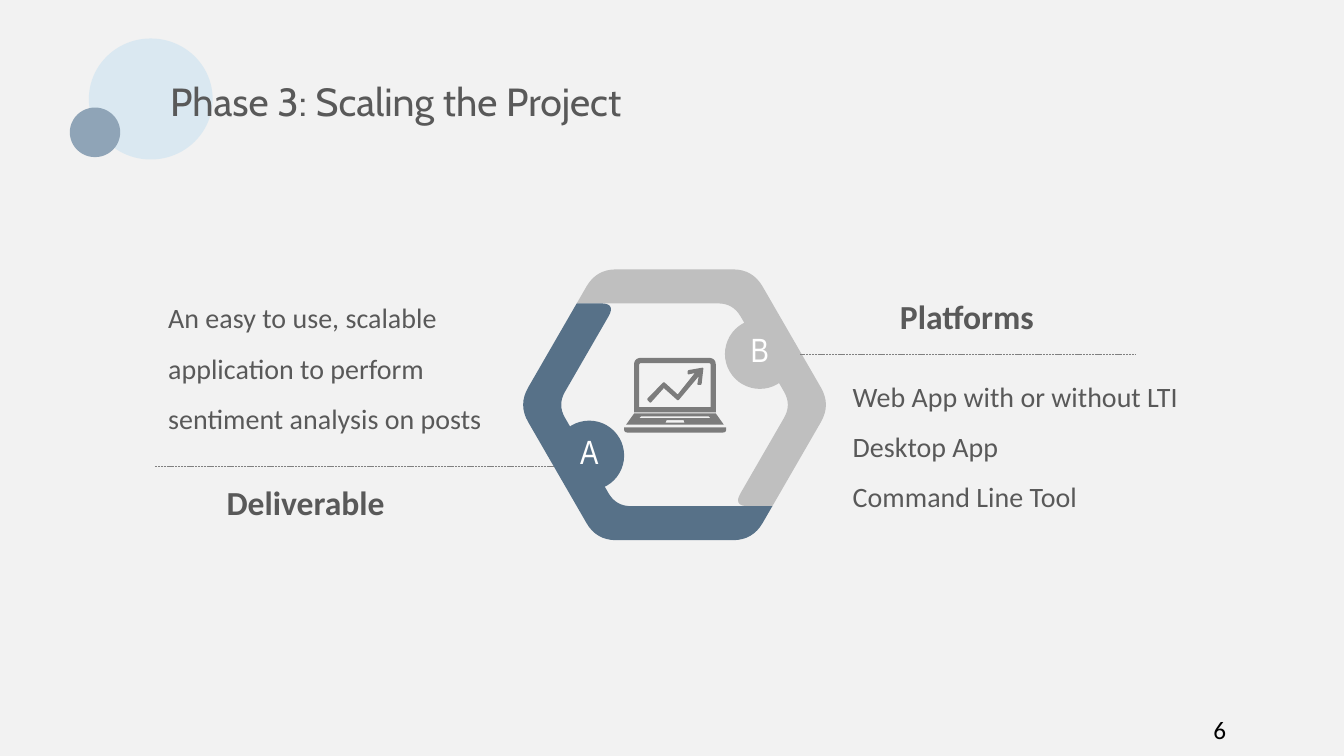
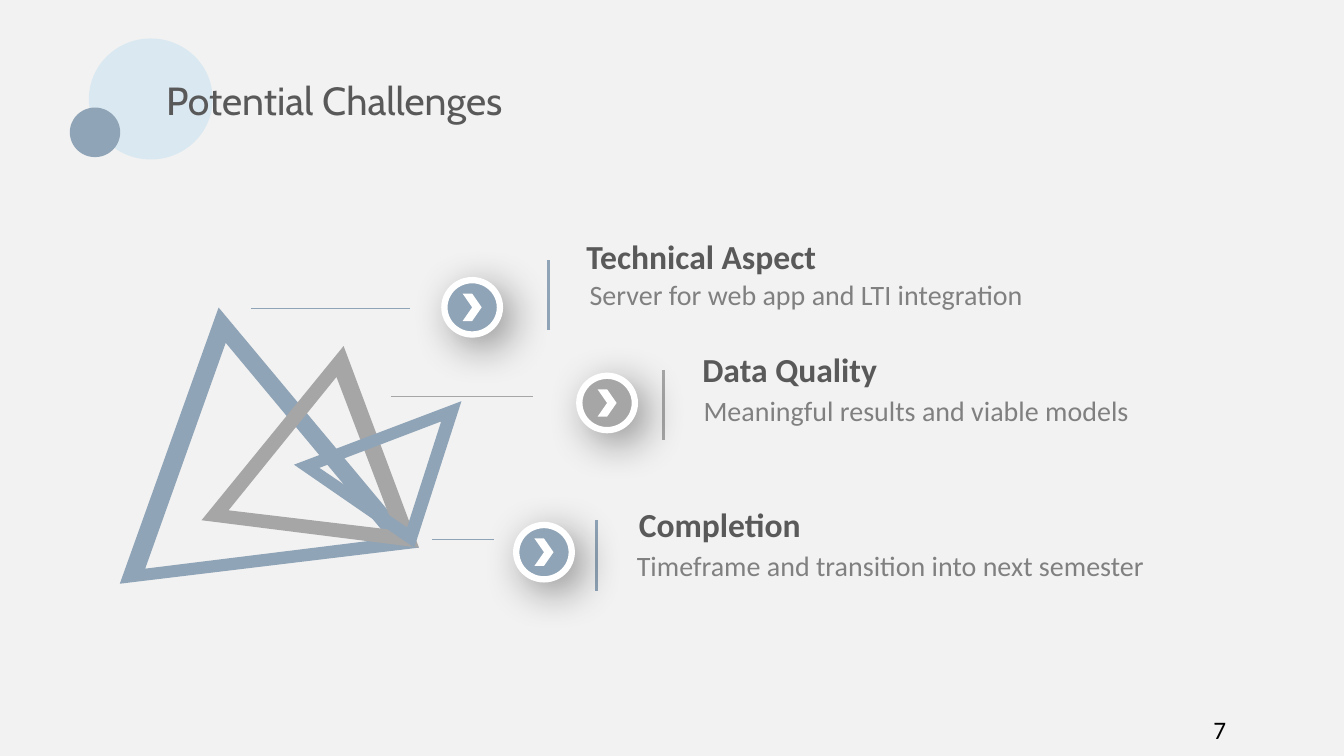
from dataclasses import dataclass
from math import cos, radians, sin, sqrt

from lxml.etree import SubElement
from pptx import Presentation
from pptx.dml.color import RGBColor
from pptx.enum.dml import MSO_LINE
from pptx.enum.shapes import MSO_CONNECTOR, MSO_SHAPE
from pptx.enum.text import MSO_ANCHOR, MSO_AUTO_SIZE, PP_ALIGN
from pptx.oxml.ns import qn
from pptx.util import Cm, Pt


@dataclass(frozen=True)
class Theme:
    """Colours and type styles of the deck."""
    paper: str = "F2F2F2"
    pale: str = "D4E6F1"
    steel: str = "8FA4B7"
    navy: str = "577188"
    silver: str = "BFBFBF"
    grey: str = "A6A6A6"
    icon: str = "7C7C7C"
    rule: str = "808080"
    ink: str = "595959"
    white: str = "FFFFFF"
    black: str = "000000"

    def style(self, role):
        """Return the colour and font values of a text role."""
        colour, name, size, bold = {
            "title": (self.ink, "Cabin", 28, False),
            "heading": (self.ink, "Calibri", 24, True),
            "body": (self.ink, "Calibri", 20, False),
            "detail": (self.rule, "Calibri", 20, False),
            "letter": (self.white, "Arial Narrow", 24, False),
            "number": (self.black, "Calibri", 18, False),
        }[role]
        return colour, {"name": name, "size": Pt(size), "bold": bold}


THEME = Theme()
WIDE_INSETS = {"margin_left": Cm(0.33), "margin_right": Cm(0.33),
               "margin_top": Cm(0.18), "margin_bottom": Cm(0.18)}


def apply(target, values):
    """Set each attribute of the target from a dict."""
    for name, value in values.items():
        setattr(target, name, value)


def rgb(colour):
    """Turn a hex string into a colour."""
    return RGBColor.from_string(colour)


def write(frame, lines, role, frame_format=None, paragraph_format=None):
    """Fill a text frame with one paragraph per line."""
    apply(frame, {"auto_size": MSO_AUTO_SIZE.NONE, "word_wrap": True, **(frame_format or {})})
    colour, font_format = THEME.style(role)
    for index, line in enumerate(lines):
        paragraph = frame.add_paragraph() if index else frame.paragraphs[0]
        apply(paragraph, paragraph_format or {})
        run = paragraph.add_run()
        run.text = line
        apply(run.font, font_format)
        run.font.color.rgb = rgb(colour)


def add_text(slide, box, lines, role, frame_format=None, paragraph_format=None):
    """Add a text box at left, top, width and height in centimetres."""
    frame = slide.shapes.add_textbox(*map(Cm, box)).text_frame
    write(frame, lines, role, frame_format, paragraph_format)


def paint(shape, colour):
    """Give a shape a plain fill without line or shadow."""
    shape.shadow.inherit = False
    shape.fill.solid()
    shape.fill.fore_color.rgb = rgb(colour)
    shape.line.fill.background()
    return shape


def add_preset(slide, kind, box, colour):
    """Add a plain preset shape in a box in centimetres."""
    return paint(slide.shapes.add_shape(kind, *map(Cm, box)), colour)


def add_rule(slide, start, end, colour, weight, dash=None):
    """Add a straight line between two points in centimetres."""
    rule = slide.shapes.add_connector(MSO_CONNECTOR.STRAIGHT, *map(Cm, start + end))
    rule.line.color.rgb = rgb(colour)
    apply(rule.line, {"width": Pt(weight), "dash_style": dash})
    SubElement(rule._element.spPr, qn("a:effectLst"))


def toward(start, end, distance):
    """Return the point at a distance from start on the way to end."""
    dx, dy = end[0] - start[0], end[1] - start[1]
    share = distance / sqrt(dx * dx + dy * dy)
    return start[0] + dx * share, start[1] + dy * share


def rounded(corners, steps=8):
    """Expand corners (x, y, optional cut) into points with curved corners."""
    points = []
    for index, corner in enumerate(corners):
        if len(corner) == 2:
            points.append(corner)
            continue
        vertex, cut = corner[:2], corner[2]
        entry = toward(vertex, corners[index - 1], cut)
        leave = toward(vertex, corners[(index + 1) % len(corners)], cut)
        for step in range(steps + 1):
            t = step / steps
            points.append(tuple((1 - t) ** 2 * a + 2 * t * (1 - t) * b + t * t * c
                                for a, b, c in zip(entry, vertex, leave)))
    return points


def add_outline(slide, origin, contours, colour):
    """Add a filled outline, later contours being holes, relative to an origin."""
    builder = None
    for contour in contours:
        points = [(Cm(origin[0] + x), Cm(origin[1] + y)) for x, y in rounded(contour)]
        if builder is None:
            builder = slide.shapes.build_freeform(*points[0], scale=1.0)
        else:
            builder.move_to(*points[0])
        builder.add_line_segments(points[1:], close=True)
    return paint(builder.convert_to_shape(), colour)


def add_header(slide, title_box, title):
    """Place the two circles and the title over them."""
    halo = add_preset(slide, MSO_SHAPE.OVAL, (2.24, 0.97, 3.12, 3.05), THEME.pale)
    tint = halo._element.spPr.find(qn("a:solidFill"))[0]
    SubElement(tint, qn("a:alpha"), val="80000")
    add_preset(slide, MSO_SHAPE.OVAL, (1.76, 2.71, 1.27, 1.25), THEME.steel)
    heading = slide.shapes.title
    apply(heading, dict(zip(("left", "top", "width", "height"), map(Cm, title_box))))
    write(heading.text_frame, [title], "title",
          {**WIDE_INSETS, "vertical_anchor": MSO_ANCHOR.TOP}, {"alignment": PP_ALIGN.CENTER})
    slide.shapes._spTree.append(heading._element)


def add_slide(deck, title_box, title, number):
    """Add a slide with the shared header and page number."""
    slide = deck.slides.add_slide(deck.slide_layouts[5])
    add_header(slide, title_box, title)
    add_text(slide, (30.33, 17.88, 2, 1.02), [number], "number")
    return slide


def add_ring_half(slide, centre, sign, colour, letter):
    """Draw half of the hexagon ring with its letter; sign -1 turns it half round."""
    outer, inner = 3.94, 2.95

    def vertex(radius, angle, cut):
        """Return a rounded hexagon vertex."""
        return (sign * radius * cos(radians(angle)), sign * radius * sin(radians(angle)), cut)

    inner_height = inner * sin(radians(60))
    end_x = outer - inner_height / sqrt(3)
    band = [(-sign * end_x, -sign * inner_height)]
    band += [vertex(outer, angle, 0.5) for angle in (-120, -60, 0)]
    band += [(sign * end_x, sign * inner_height)]
    band += [vertex(inner, angle, 0.38) for angle in (60, 0, -60)]
    band += [(-sign * 1.1, -sign * inner_height)]
    add_outline(slide, centre, [band], colour)
    radius = 0.88
    left = centre[0] + sign * 2.15 - radius
    top = centre[1] - sign * 1.28 - radius
    knob = add_preset(slide, MSO_SHAPE.OVAL, (left, top, 2 * radius, 2 * radius), colour)
    write(knob.text_frame, [letter], "letter",
          {"margin_left": 0, "margin_right": 0, "margin_top": 0, "margin_bottom": Cm(0.25),
           "vertical_anchor": MSO_ANCHOR.MIDDLE}, {"alignment": PP_ALIGN.CENTER})


def add_laptop(slide, origin):
    """Draw the laptop with a rising arrow on its screen."""
    base = [(0, 1.75), (2.57, 1.75), (2.57, 1.88, 0.08), (0, 1.88, 0.08)]
    lid = [(0.25, 1.37), (0.25, 0, 0.18), (2.31, 0, 0.18), (2.31, 1.37)]
    screen = [(0.38, 1.24), (0.38, 0.13, 0.05), (2.18, 0.13, 0.05), (2.18, 1.24)]
    deck = [(0.25, 1.4), (2.31, 1.4), (2.51, 1.68), (0.05, 1.68)]
    keys = [(0.38, 1.52), (0.43, 1.47), (2.13, 1.47), (2.18, 1.52)]
    trackpad = [(1.04, 1.63), (1.07, 1.57), (1.5, 1.57), (1.52, 1.63)]
    arrow = [(2, 0.24, 0.04), (1.6, 0.31, 0.04), (1.6, 0.42, 0.04), (1.78, 0.38),
             (1.35, 0.92), (1, 0.6, 0.04), (0.57, 1.04, 0.04), (0.66, 1.14, 0.04),
             (1, 0.76), (1.36, 1.08, 0.04), (1.88, 0.46), (1.84, 0.68, 0.04),
             (1.95, 0.68, 0.04)]
    for contours in ([base], [lid, screen], [arrow], [deck, keys, trackpad]):
        add_outline(slide, origin, contours, THEME.icon)


def add_deliverable(slide, left, top):
    """Place the text, rule and heading left of the ring."""
    add_text(slide, (left, top, 9.42, 4.06),
             ["An easy to use, scalable application to perform sentiment analysis on posts"],
             "body", WIDE_INSETS, {"line_spacing": 1.5})
    add_rule(slide, (left, top + 4.78), (left + 10.08, top + 4.78), THEME.rule, 0.5,
             MSO_LINE.SQUARE_DOT)
    add_text(slide, (left + 1.55, top + 5.05, 4.55, 1.27), ["Deliverable"], "heading",
             {"word_wrap": False})


def add_platforms(slide, left, top):
    """Place the heading, rule and list right of the ring."""
    add_text(slide, (left + 2.26, top, 3.94, 1.27), ["Platforms"], "heading",
             {"word_wrap": False})
    add_rule(slide, (left, top + 1.6), (left + 8.46, top + 1.6), THEME.rule, 0.5,
             MSO_LINE.SQUARE_DOT)
    add_text(slide, (left + 0.99, top + 1.63, 9.52, 4.06),
             ["Web App with or without LTI", "Desktop App", "Command Line Tool"],
             "body", WIDE_INSETS, {"line_spacing": 1.5})


def build_scaling(deck):
    """Build the slide on scaling the project."""
    slide = add_slide(deck, (1.37, 1.78, 17.2, 1.55), "Phase 3: Scaling the Project", "6")
    centre = (17, 10.2)
    add_ring_half(slide, centre, 1, THEME.silver, "B")
    add_ring_half(slide, centre, -1, THEME.navy, "A")
    add_laptop(slide, (centre[0] - 1.27, centre[1] - 1.18))
    add_deliverable(slide, 3.91, 6.98)
    add_platforms(slide, 20.17, 7.32)


def add_triangles(slide, left, top):
    """Draw the three nested triangles with their lead lines."""
    for start, end, y, colour in ((3.3, 7.32, 0.03, THEME.steel),
                                  (6.83, 10.41, 2.24, THEME.grey),
                                  (7.87, 9.42, 5.84, THEME.steel)):
        add_rule(slide, (left + start, top + y), (left + end, top + y), colour, 0.5)
    triangles = (
        ([(2.49, 0), (0, 6.96), (7.54, 6.05)],
         [(2.67, 0.89), (6.78, 5.82), (0.64, 6.58)], THEME.steel),
        ([(5.64, 0.97), (2.06, 5.36), (7.54, 6.05)],
         [(5.46, 1.75), (6.93, 5.61), (2.74, 5.11)], THEME.grey),
        ([(4.39, 3.96), (7.42, 6.05), (8.61, 2.36)],
         [(7.24, 5.54), (5.03, 4.04), (8.1, 2.87)], THEME.steel),
    )
    for edge, hole, colour in triangles:
        add_outline(slide, (left, top), [edge, hole], colour)


def add_badge(slide, left, top, colour):
    """Draw a ringed circle with a shadow and a chevron in its middle."""
    width, height, mark_width, mark_height = 1.4, 1.37, 0.48, 0.69
    disc = add_preset(slide, MSO_SHAPE.OVAL, (left, top, width, height), colour)
    disc.line.color.rgb = rgb(THEME.white)
    disc.line.width = Pt(4.5)
    shadow = SubElement(disc._element.spPr.find(qn("a:effectLst")), qn("a:outerShdw"),
                        blurRad=str(Pt(30)), dist=str(Pt(10)), dir="2700000",
                        algn="tl", rotWithShape="0")
    tint = SubElement(shadow, qn("a:srgbClr"), val=THEME.black)
    SubElement(tint, qn("a:alpha"), val="40000")
    add_preset(slide, MSO_SHAPE.CHEVRON,
               (left + (width - mark_width) / 2, top + (height - mark_height) / 2,
                mark_width, mark_height), THEME.white)


def add_challenge(slide, origin, badge, heading, detail, colour):
    """Place a divider at the origin with its badge, heading and detail around it."""
    left, top = origin
    add_rule(slide, origin, (left, top + 1.77), colour, 2.25)
    add_badge(slide, left + badge[0], top + badge[1], colour)
    for (dx, dy, text), role in ((heading, "heading"), (detail, "detail")):
        add_text(slide, (left + dx, top + dy, 15.2, 1.27), [text], role)


def build_challenges(deck):
    """Build the slide on potential challenges."""
    slide = add_slide(deck, (2.03, 1.75, 12.78, 1.55), "Potential Challenges", "7")
    add_triangles(slide, 3.02, 7.75)
    challenges = (
        ((13.82, 6.55), (-2.62, 0.51), (0.71, -0.73, "Technical Aspect"),
         (0.79, 0.31, "Server for web app and LTI integration"), THEME.steel),
        ((16.71, 9.32), (-2.11, 0.15), (0.74, -0.66, "Data Quality"),
         (0.77, 0.46, "Meaningful results and viable models"), THEME.grey),
        ((15.04, 13.11), (-2.03, 0.12), (0.81, -0.54, "Completion"),
         (0.76, 0.58, "Timeframe and transition into next semester"), THEME.steel),
    )
    for challenge in challenges:
        add_challenge(slide, *challenge)


def main():
    """Build and save the deck."""
    deck = Presentation()
    apply(deck, {"slide_width": Cm(33.87), "slide_height": Cm(19.05)})
    backdrop = deck.slide_master.background.fill
    backdrop.solid()
    backdrop.fore_color.rgb = rgb(THEME.paper)
    build_scaling(deck)
    build_challenges(deck)
    deck.save("out.pptx")


if __name__ == "__main__":
    main()
